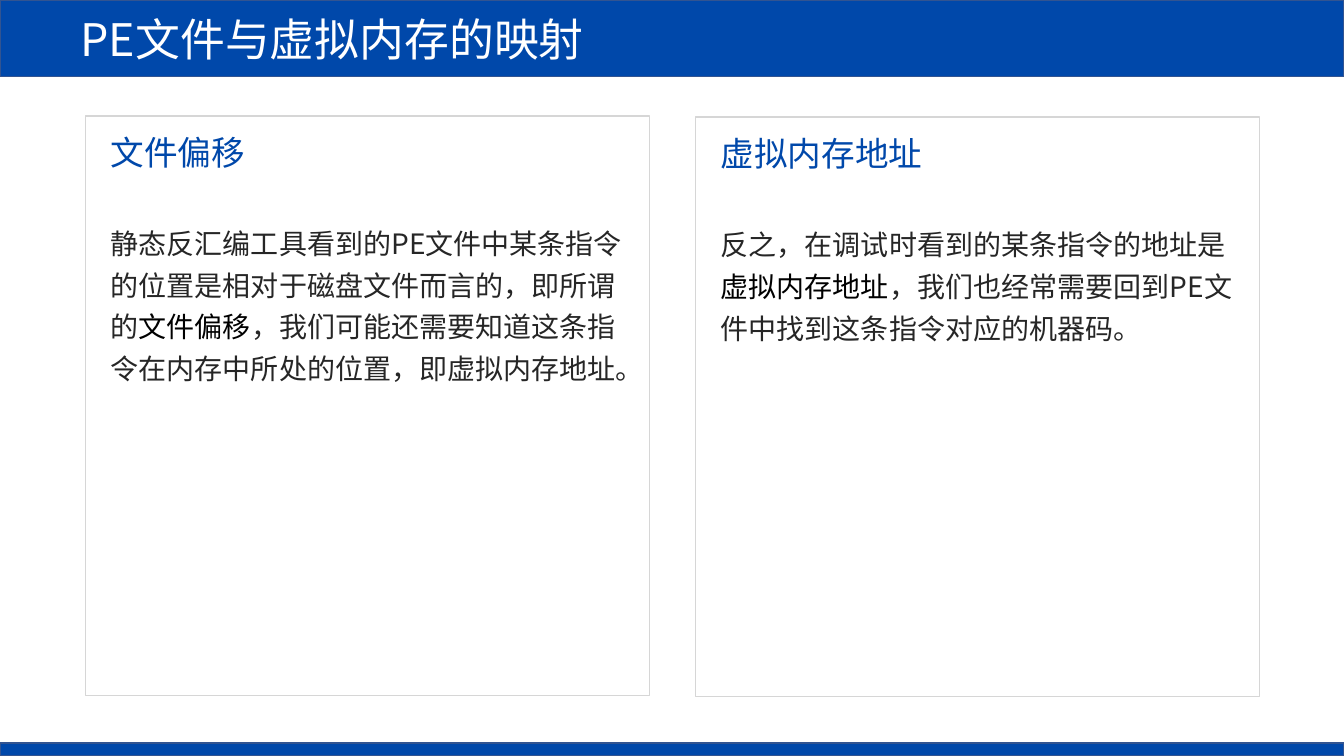
from lxml.etree import SubElement
from pptx import Presentation
from pptx.dml.color import RGBColor
from pptx.enum.shapes import MSO_SHAPE as Shape
from pptx.enum.text import MSO_ANCHOR as Anchor, MSO_AUTO_SIZE as AutoSize, PP_ALIGN as Align
from pptx.oxml.ns import qn
from pptx.util import Inches, Pt

FONT = "Noto Sans CJK SC"
BLUE, DARK, BLACK, WHITE = "0048AA", "262626", "000000", "FFFFFF"


def add_rectangle(left, top, width, height, line, fill=None):
    shape = slide.shapes.add_shape(
        Shape.RECTANGLE, Inches(left), Inches(top), Inches(width), Inches(height))
    shape.shadow.inherit = False
    if fill:
        shape.fill.solid()
        shape.fill.fore_color.rgb = RGBColor.from_string(fill)
    else:
        shape.fill.background()
    shape.line.color.rgb = RGBColor.from_string(line)
    shape.line.width = Pt(1)
    return shape


def write_text(text, shape, size, color, emphasis=None, spacing=None, wrap=True):
    frame = shape.text_frame
    frame.word_wrap = wrap
    paragraph = frame.paragraphs[0]
    paragraph.alignment = Align.LEFT
    if spacing:
        paragraph.line_spacing = spacing
    pieces = [(text, color)]
    if emphasis:
        before, after = text.split(emphasis, 1)
        pieces = [(before, color), (emphasis, BLACK), (after, color)]
    for words, shade in pieces:
        run = paragraph.add_run()
        run.text = words
        run.font.size = Pt(size)
        run.font.color.rgb = RGBColor.from_string(shade)
        run.font.name = FONT
        SubElement(run.font._element, qn("a:ea"), typeface=FONT)


presentation = Presentation()
presentation.slide_width = Inches(13.33)
presentation.slide_height = Inches(7.5)
slide = presentation.slides.add_slide(presentation.slide_layouts[6])

title_bar = add_rectangle(0, 0, 13.33, 0.76, "325491", BLUE)
title_bar.text_frame.margin_left = Inches(0.8)
title_bar.text_frame.vertical_anchor = Anchor.MIDDLE
write_text("PE文件与虚拟内存的映射", title_bar, size=32, color=WHITE)
add_rectangle(0, 7.37, 13.33, 0.13, "325491", BLUE)

cards = [
    (6.9, 1.16, "虚拟内存地址", 2.28, 1.32,
     "反之，在调试时看到的某条指令的地址是虚拟内存地址，"
     "我们也经常需要回到PE文件中找到这条指令对应的机器码。"),
    (0.85, 1.15, "文件偏移", 1.55, 1.75,
     "静态反汇编工具看到的PE文件中某条指令的位置是相对于磁盘文件而言的，"
     "即所谓的文件偏移，我们可能还需要知道这条指令在内存中所处的位置，即虚拟内存地址。"),
]
for left, top, heading, heading_width, body_height, body in cards:
    add_rectangle(left, top, 5.59, 5.75, "D6D6D6")
    text_left = Inches(left + 0.15)
    heading_box = slide.shapes.add_textbox(
        text_left, Inches(top + 0.11), Inches(heading_width), Inches(0.5))
    write_text(heading, heading_box, size=24, color=BLUE, wrap=False)
    body_box = slide.shapes.add_textbox(
        text_left, Inches(top + 0.96), Inches(5.28), Inches(body_height))
    write_text(body, body_box, size=20, color=DARK, emphasis=heading, spacing=1.25)
    for box in (heading_box, body_box):
        box.text_frame.auto_size = AutoSize.SHAPE_TO_FIT_TEXT

presentation.save("out.pptx")
